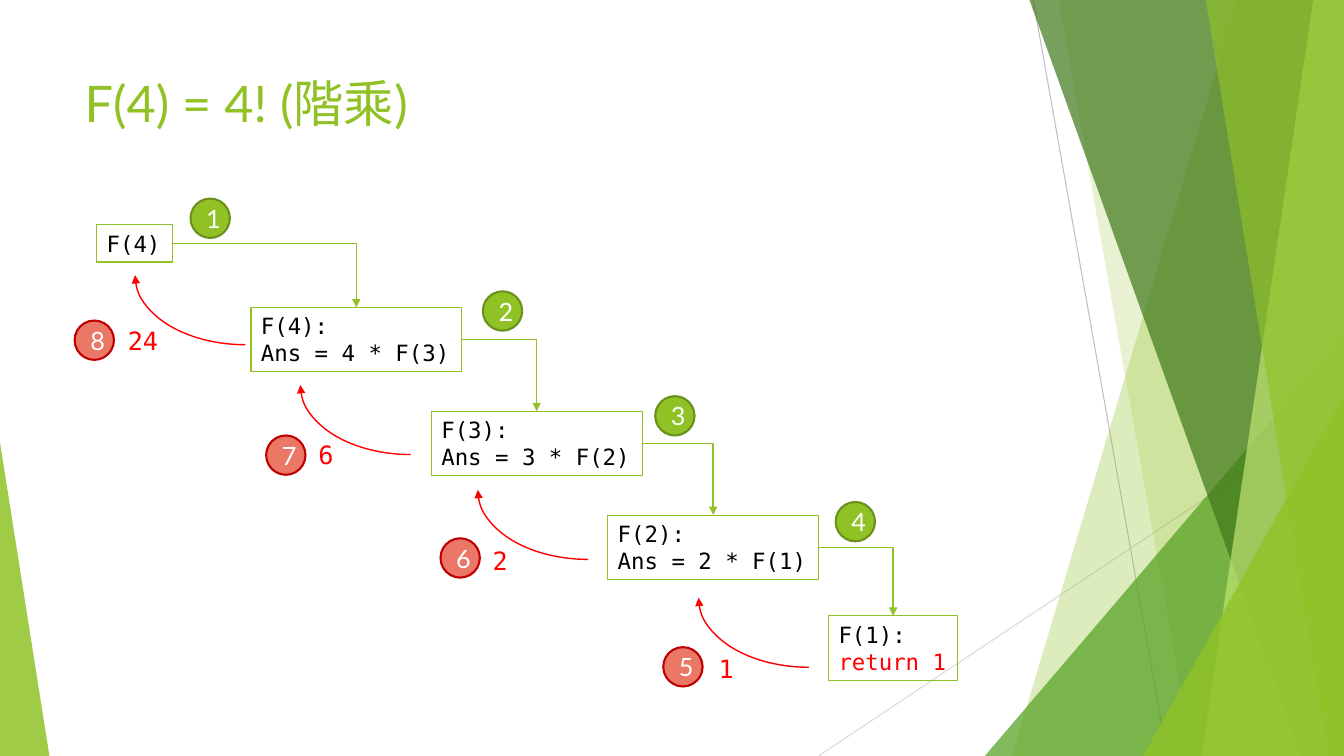
from dataclasses import dataclass

from pptx import Presentation
from pptx import util as u
from pptx.dml.color import RGBColor
from pptx.enum import shapes, text
from pptx.oxml.ns import qn
from lxml import etree


@dataclass(frozen=True)
class Theme:
    green: str = "90C226"
    green_edge: str = "6B901C"
    leaf: str = "54A021"
    forest: str = "3F7819"
    lime: str = "C0E474"
    red: str = "FF0000"
    coral: str = "EB7766"
    coral_edge: str = "C00000"
    black: str = "000000"
    white: str = "FFFFFF"
    sans: str = "Lato"
    mono: str = "DejaVu Sans Mono"
    title_size: int = 36
    label_size: int = 18
    code_size: int = 16


@dataclass(frozen=True)
class Area:
    """A region of the slide, in grid cells."""
    left: float
    top: float
    width: float
    height: float

    def at(self, x, y):
        return cells(self.left + x), cells(self.top + y)


THEME = Theme()
COLUMNS, ROWS = 133.33, 75  # grid of square cells, a tenth of an inch each
BADGE = 3.9
ARC_SIZE = 21.9, 13.8

# Call frames: code lines with colours, left, top, width, height
FRAMES = [
    ([("F(4)", THEME.black)], 2.2, 2.6, 7.5, 3.7),
    ([("F(4):", THEME.black), ("Ans = 4 * F(3)", THEME.black)], 17.5, 10.8, 20.9, 6.4),
    ([("F(3):", THEME.black), ("Ans = 3 * F(2)", THEME.black)], 35.4, 21.1, 20.9, 6.4),
    ([("F(2):", THEME.black), ("Ans = 2 * F(1)", THEME.black)], 52.9, 31.4, 20.9, 6.4),
    ([("F(1):", THEME.black), ("return 1", THEME.red)], 74.8, 41.4, 12.8, 6.4),
]
# Step badges of the calls, left and top
CALLS = [(11.5, 0), (40.5, 9.2), (57.6, 19.6), (75.5, 30.1)]
# Returned value and its width, then left and top of value, arc and badge
RETURNS = [
    ("1", 3.4, (62.9, 44.6), (61.9, 32.7), (58.4, 44.5)),
    ("2", 3.4, (40.5, 33.9), (40, 22), (36.3, 33.7)),
    ("6", 3.4, (23.2, 23.4), (22.4, 11.6), (19, 23.5)),
    ("24", 6.6, (4.3, 12.1), (6, 0.7), (0, 12.1)),
]


def cells(count):
    return u.Inches(count / 10)


def rgb(colour):
    return RGBColor.from_string(colour)


def paint(shape, fill=None, alpha=100, line=None, weight=0.75):
    shape.shadow.inherit = False
    if fill:
        shape.fill.solid()
        shape.fill.fore_color.rgb = rgb(fill)
        if alpha < 100:
            clr = shape.element.spPr.find(qn("a:solidFill"))[0]
            etree.SubElement(clr, qn("a:alpha"), val=str(alpha * 1000))
    else:
        shape.fill.background()
    if line:
        stroke(shape, line, weight)
    else:
        shape.line.fill.background()


def stroke(shape, colour, weight, arrow=False):
    shape.line.color.rgb = rgb(colour)
    shape.line.width = u.Pt(weight)
    if arrow:
        etree.SubElement(shape.element.spPr.find(qn("a:ln")), qn("a:tailEnd"), type="triangle")


def add_line(slide, kind, start, end, colour, weight, arrow=False):
    line = slide.shapes.add_connector(kind, *start, *end)
    stroke(line, colour, weight, arrow)
    etree.SubElement(line.element.spPr, qn("a:effectLst"))
    return line


def write(para, content, font=THEME.sans, size=THEME.label_size, colour=THEME.black,
          align=text.PP_ALIGN.LEFT):
    para.alignment = align
    span = para.add_run()
    span.text = content
    span.font.name = font
    span.font.size = u.Pt(size)
    span.font.color.rgb = rgb(colour)


def add_facets(slide, area):
    """Background lines, slanted bands and triangles."""
    straight = shapes.MSO_CONNECTOR.STRAIGHT
    add_line(slide, straight, area.at(102.5, 0), area.at(115.8, area.height), "BFBFBF", 0.75)
    add_line(slide, straight, area.at(area.width, 40.3), area.at(81.2, area.height),
             "D9D9D9", 0.75)

    def band(top_x, bottom_x, colour, alpha):
        builder = slide.shapes.build_freeform(*area.at(top_x, -0.1))
        builder.add_line_segments([area.at(area.width, -0.1), area.at(area.width, area.height),
                                   area.at(bottom_x, area.height)], close=True)
        paint(builder.convert_to_shape(), colour, alpha)

    def triangle(left, width, height, apex, colour, alpha):
        shape = slide.shapes.add_shape(shapes.MSO_SHAPE.ISOSCELES_TRIANGLE,
                                       *area.at(left, area.height - height),
                                       cells(width), cells(height))
        shape.adjustments[0] = apex
        paint(shape, colour, alpha)

    band(122.8, 100.4, THEME.green, 30)
    band(105, 118.3, THEME.green, 20)
    triangle(97.7, 35.6, 41.7, 1, THEME.leaf, 72)
    band(102.1, 129.1, THEME.forest, 70)
    band(130.3, 119.2, THEME.lime, 70)
    band(119.6, 131.8, THEME.green, 65)
    triangle(113.4, 19.9, 35.7, 1, THEME.green, 80)
    triangle(0, 4.9, 31.1, 0, THEME.green, 85)


def set_title(slide, area, content):
    title = slide.shapes.title
    title.left, title.top = area.at(0, 0)
    title.width, title.height = cells(area.width), cells(area.height)
    frame = title.text_frame
    frame.vertical_anchor = text.MSO_ANCHOR.TOP
    frame.auto_size = text.MSO_AUTO_SIZE.NONE
    write(frame.paragraphs[0], content, size=THEME.title_size, colour=THEME.green)
    title.element.getparent().append(title.element)  # in front of the facets


def add_frame(slide, area, lines, left, top, width, height):
    box = slide.shapes.add_shape(shapes.MSO_SHAPE.RECTANGLE, *area.at(left, top),
                                 cells(width), cells(height))
    paint(box, line=THEME.green)
    frame = box.text_frame
    frame.word_wrap = False
    frame.auto_size = text.MSO_AUTO_SIZE.SHAPE_TO_FIT_TEXT
    frame.vertical_anchor = text.MSO_ANCHOR.TOP
    for index, (content, colour) in enumerate(lines):
        para = frame.add_paragraph() if index else frame.paragraphs[0]
        write(para, content, font=THEME.mono, size=THEME.code_size, colour=colour)
    return box


def add_badge(slide, area, spot, number, fill, edge):
    badge = slide.shapes.add_shape(shapes.MSO_SHAPE.OVAL, *area.at(*spot),
                                   cells(BADGE), cells(BADGE))
    paint(badge, fill, line=edge, weight=1.5)
    badge.text_frame.vertical_anchor = text.MSO_ANCHOR.MIDDLE
    write(badge.text_frame.paragraphs[0], str(number), colour=THEME.white,
          align=text.PP_ALIGN.CENTER)


def add_return(slide, area, value, width, value_spot, arc_spot):
    arc = slide.shapes.add_shape(shapes.MSO_SHAPE.ARC, *area.at(*arc_spot), *map(cells, ARC_SIZE))
    paint(arc)
    stroke(arc, THEME.red, 1, arrow=True)
    for flip in ("flipH", "flipV"):
        arc.element.spPr.find(qn("a:xfrm")).set(flip, "1")
    label = slide.shapes.add_textbox(*area.at(*value_spot), cells(width), cells(4))
    label.text_frame.word_wrap = True
    write(label.text_frame.paragraphs[0], value, font=THEME.mono, colour=THEME.red)


def add_trace(slide, area):
    """Staircase of calls going down and values coming back up."""
    boxes = [add_frame(slide, area, *frame) for frame in FRAMES]
    for caller, callee in zip(boxes, boxes[1:]):
        arrow = add_line(slide, shapes.MSO_CONNECTOR.ELBOW, (0, 0), (0, 0), THEME.green, 1,
                         arrow=True)
        arrow.element.spPr.find(qn("a:prstGeom")).set("prst", "bentConnector2")
        arrow.begin_connect(caller, 3)
        arrow.end_connect(callee, 0)
    for step, spot in enumerate(CALLS, 1):
        add_badge(slide, area, spot, step, THEME.green, THEME.green_edge)
    for step, (*parts, spot) in enumerate(RETURNS, len(CALLS) + 1):
        add_return(slide, area, *parts)
        add_badge(slide, area, spot, step, THEME.coral, THEME.coral_edge)


def main():
    deck = Presentation()
    deck.slide_width, deck.slide_height = cells(COLUMNS), cells(ROWS)
    page = deck.slides.add_slide(deck.slide_layouts[5])
    add_facets(page, Area(0, 0, COLUMNS, ROWS))
    set_title(page, Area(7.4, 6.7, 94, 14.4), "F(4) = 4! (階乘)")
    add_trace(page, Area(7.4, 19.7, 87.6, 48.4))
    deck.save("out.pptx")


if __name__ == "__main__":
    main()
